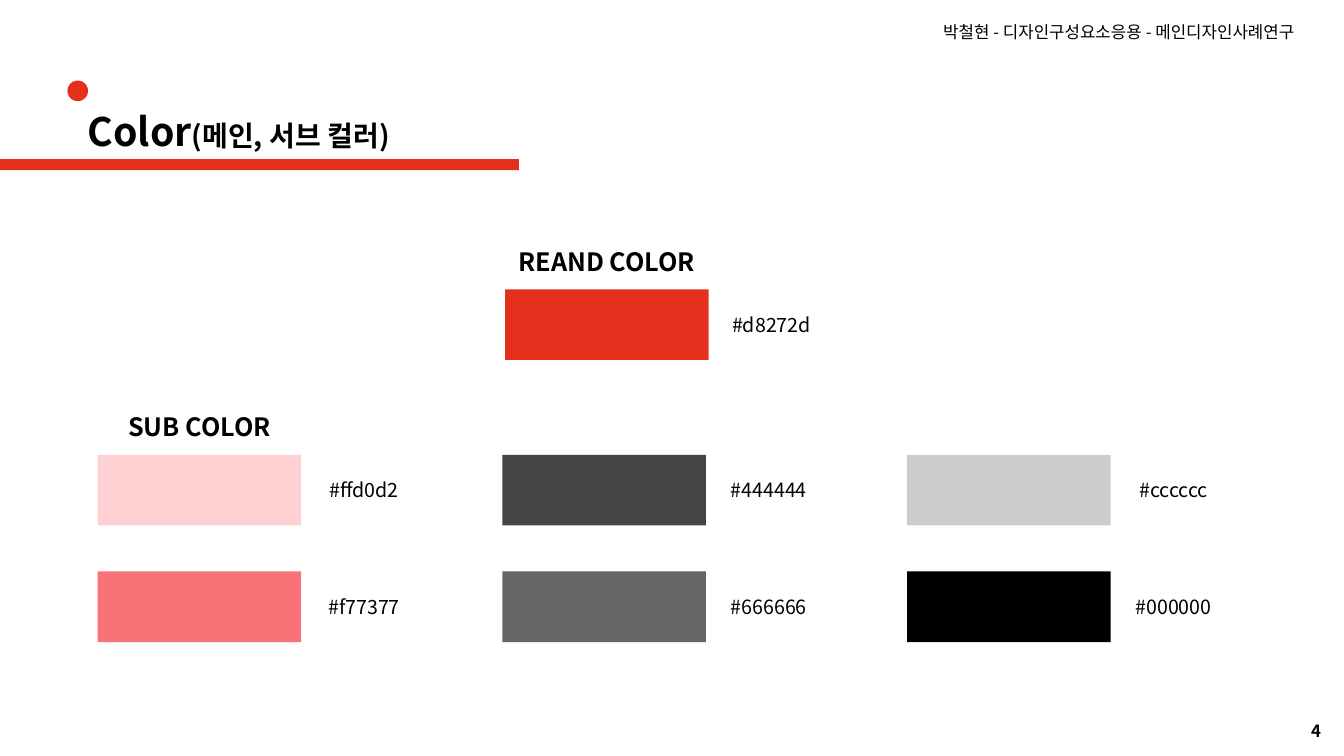
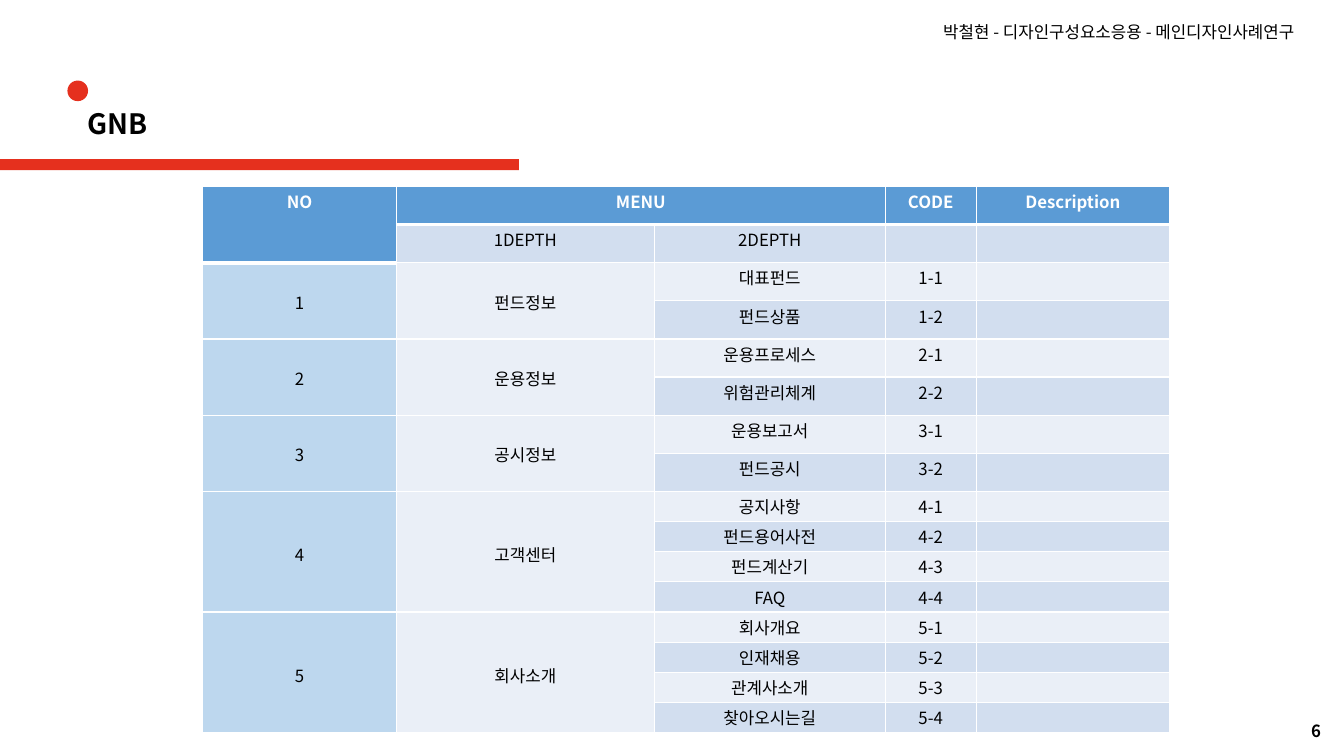
from lxml import etree
from pptx import Presentation
from pptx.dml.color import RGBColor
from pptx.enum.shapes import MSO_SHAPE as Shape
from pptx.enum.text import MSO_ANCHOR as Anchor, PP_ALIGN as Align
from pptx.oxml.ns import qn
from pptx.util import Cm, Pt

# Content
FONT = "Noto Sans CJK KR"
RED, BLACK, WHITE = "E5301E", "000000", "FFFFFF"
BLUE, SKY, PALE, MIST = "5B9BD5", "BDD7EE", "EAEFF7", "D2DEEF"
HEAD = "박철현 - 디자인구성요소응용 - 메인디자인사례연구"

COLOR = [("Color", 28), ("(메인, 서브 컬러)", 20)]
BRAND = ("#d8272d", RED)
SUBS = [["#ffd0d2", "#444444", "#cccccc"],
        ["#f77377", "#666666", "#000000"]]

GNB = [("GNB", 20)]
TOP = ["NO", "MENU", "", "CODE", "Description"]
DEPTH = ["", "1DEPTH", "2DEPTH", "", ""]
MENU = [
    ("펀드정보", ["대표펀드", "펀드상품"]),
    ("운용정보", ["운용프로세스", "위험관리체계"]),
    ("공시정보", ["운용보고서", "펀드공시"]),
    ("고객센터", ["공지사항", "펀드용어사전", "펀드계산기", "FAQ"]),
    ("회사소개", ["회사개요", "인재채용", "관계사소개", "찾아오시는길"]),
]
COLS = [4.88, 6.5, 5.82, 2.29, 4.88]
TALL, LOW = 0.96, 0.76
PAD, LINE = 0.07, 0.61

# Swatch grid
WIDE, HIGH = 5.13, 1.78
LEFT, UPPER = 2.46, 11.46
STEP_X, STEP_Y = 10.2, 2.94


def rgb(code):
    return RGBColor.from_string(code)


def add_run(par, text, size, color=BLACK, bold=False):
    run = par.add_run()
    run.text = text
    font = run.font
    font.name, font.size, font.bold = FONT, Pt(size), bold
    font.color.rgb = rgb(color)
    east = etree.SubElement(run._r.get_or_add_rPr(), qn("a:ea"))
    east.set("typeface", FONT)


def add_text(slide, x, y, w, h, runs, bold=False, align=Align.LEFT,
             anchor=Anchor.TOP):
    box = slide.shapes.add_textbox(Cm(x), Cm(y), Cm(w), Cm(h))
    frame = box.text_frame
    frame.word_wrap = True
    frame.vertical_anchor = anchor
    par = frame.paragraphs[0]
    par.alignment = align
    for text, size in runs:
        add_run(par, text, size, bold=bold)


def add_block(slide, kind, x, y, w, h, color):
    block = slide.shapes.add_shape(kind, Cm(x), Cm(y), Cm(w), Cm(h))
    block.shadow.inherit = False
    block.fill.solid()
    block.fill.fore_color.rgb = rgb(color)
    block.line.fill.background()


def add_page(deck, title, num):
    """Blank slide with the shared header, title, bar and number."""
    slide = deck.slides.add_slide(deck.slide_layouts[6])
    add_block(slide, Shape.RECTANGLE, 0, 4.01, 13.08, 0.28, RED)
    add_text(slide, 23.52, 0.43, 10.2, 0.77, [(HEAD, 12)])
    add_text(slide, 32.79, 18.03, 1.05, 0.77, [(num, 12)], bold=True)
    add_text(slide, 1.96, 2.57, 18.57, 1.45, title, bold=True)
    add_block(slide, Shape.OVAL, 1.7, 2.03, 0.52, 0.52, RED)
    return slide


def add_swatch(slide, x, y, code, color):
    add_block(slide, Shape.RECTANGLE, x, y, WIDE, HIGH, color)
    add_text(slide, x + 4.1, y, 5.23, HIGH, [(code, 14)],
             align=Align.CENTER, anchor=Anchor.MIDDLE)


def add_label(slide, x, y, text):
    add_text(slide, x - 0.05, y - 1.22, 5.23, 1.02, [(text, 18)],
             bold=True, align=Align.CENTER)


def set_edges(cell, top, base):
    """White cell borders; they must stand before the fill."""
    props = cell._tc.get_or_add_tcPr()
    sides = [("L", 1), ("R", 1), ("T", top), ("B", base)]
    for spot, (side, width) in enumerate(sides):
        line = etree.Element(qn("a:ln" + side), w=str(Pt(width)))
        fill = etree.SubElement(line, qn("a:solidFill"))
        etree.SubElement(fill, qn("a:srgbClr"), val=WHITE)
        props.insert(spot, line)


def cell_fill(row, col):
    if row == 0 or (row == 1 and col == 0):
        return BLUE
    if col == 0:
        return SKY
    if col == 1 and row > 1:
        return PALE
    return MIST if row % 2 else PALE


def fill_cell(cell, row, col, text):
    cell.fill.solid()
    cell.fill.fore_color.rgb = rgb(cell_fill(row, col))
    cell.margin_top = cell.margin_bottom = Cm(PAD)
    rule = 1 if col else 2  # row edge under the header
    set_edges(cell, 3 if row == rule else 1, 3 if row in (0, rule - 1) else 1)
    par = cell.text_frame.paragraphs[0]
    par.alignment = Align.CENTER
    if text:
        add_run(par, text, 12, BLACK if row else WHITE, bold=row == 0)
    else:
        etree.SubElement(par._p, qn("a:endParaRPr"), sz="1200")


def color_slide(deck):
    slide = add_page(deck, COLOR, "4")
    x, y = 12.73, 7.29
    add_label(slide, x, y, "REAND COLOR")
    add_swatch(slide, x, y, *BRAND)
    add_label(slide, LEFT, UPPER, "SUB COLOR")
    for r, codes in enumerate(SUBS):
        for c, code in enumerate(codes):
            add_swatch(slide, LEFT + c * STEP_X, UPPER + r * STEP_Y,
                       code, code[1:].upper())


def menu_slide(deck):
    slide = add_page(deck, GNB, "6")

    # Rows, heights and row spans from the menu
    rows, highs, spans = [TOP, DEPTH], [TALL, TALL], []
    for num, (name, items) in enumerate(MENU, 1):
        spans.append((len(rows), len(items)))
        for pos, item in enumerate(items, 1):
            lead = [str(num), name] if pos == 1 else ["", ""]
            rows.append(lead + [item, f"{num}-{pos}", ""])
            highs.append(TALL if len(items) == 2 else LOW)

    grid = slide.shapes.add_table(
        len(rows), len(COLS), Cm(5.11), Cm(4.7),
        Cm(sum(COLS)), Cm(sum(highs))).table
    for c, wide in enumerate(COLS):
        grid.columns[c].width = Cm(wide)
    for r, texts in enumerate(rows):
        grid.rows[r].height = Cm(highs[r])
        for c, text in enumerate(texts):
            fill_cell(grid.cell(r, c), r, c, text)

    # Merged cells
    grid.cell(0, 0).merge(grid.cell(1, 0))
    grid.cell(0, 1).merge(grid.cell(0, 2))
    for start, count in spans:
        for c in (0, 1):
            cell = grid.cell(start, c)
            cell.merge(grid.cell(start + count - 1, c))
            cell.margin_top = Cm(PAD + LINE * count / 2)


def main():
    deck = Presentation()
    deck.slide_width, deck.slide_height = Cm(33.87), Cm(19.05)
    color_slide(deck)
    menu_slide(deck)
    deck.save("out.pptx")


if __name__ == "__main__":
    main()
